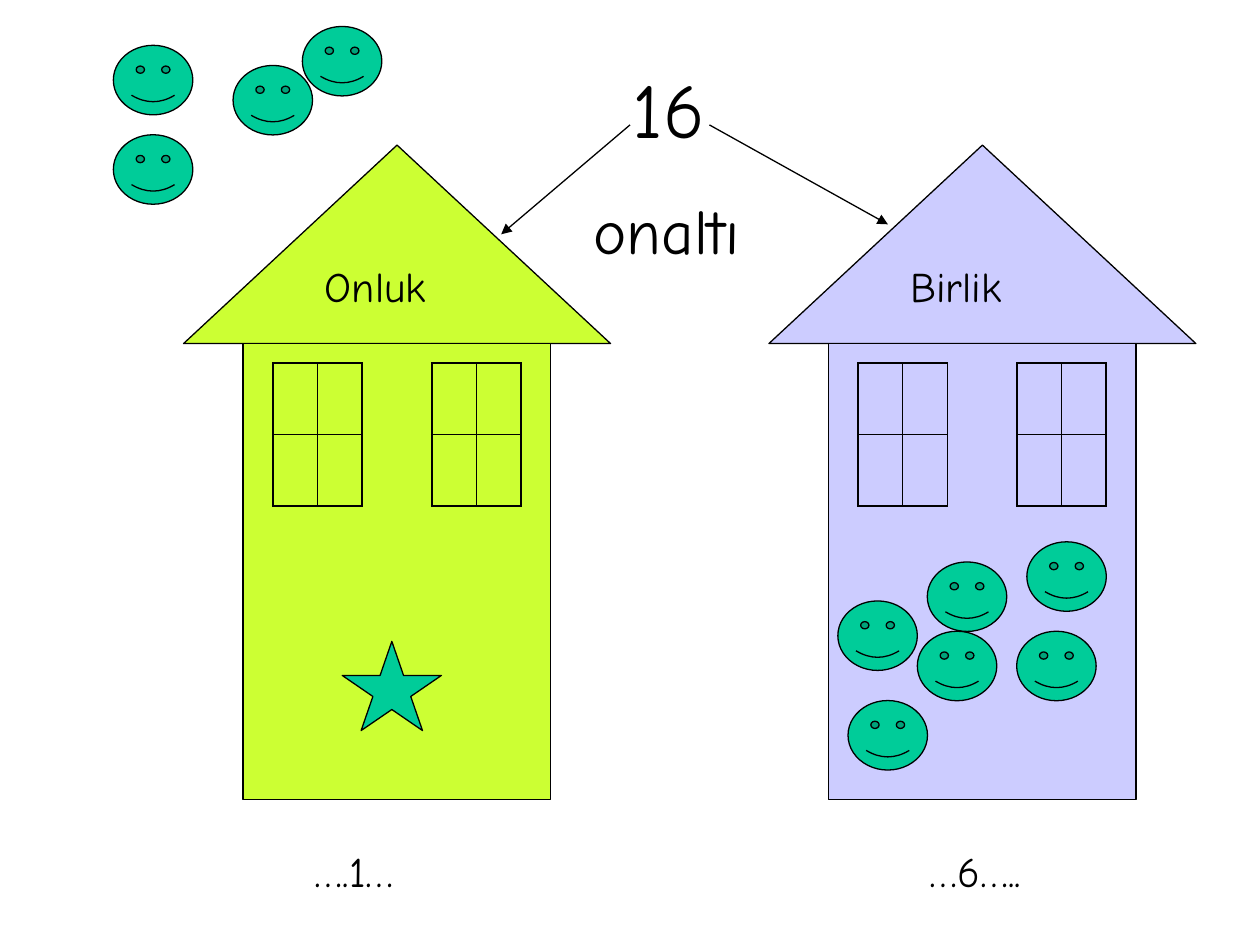
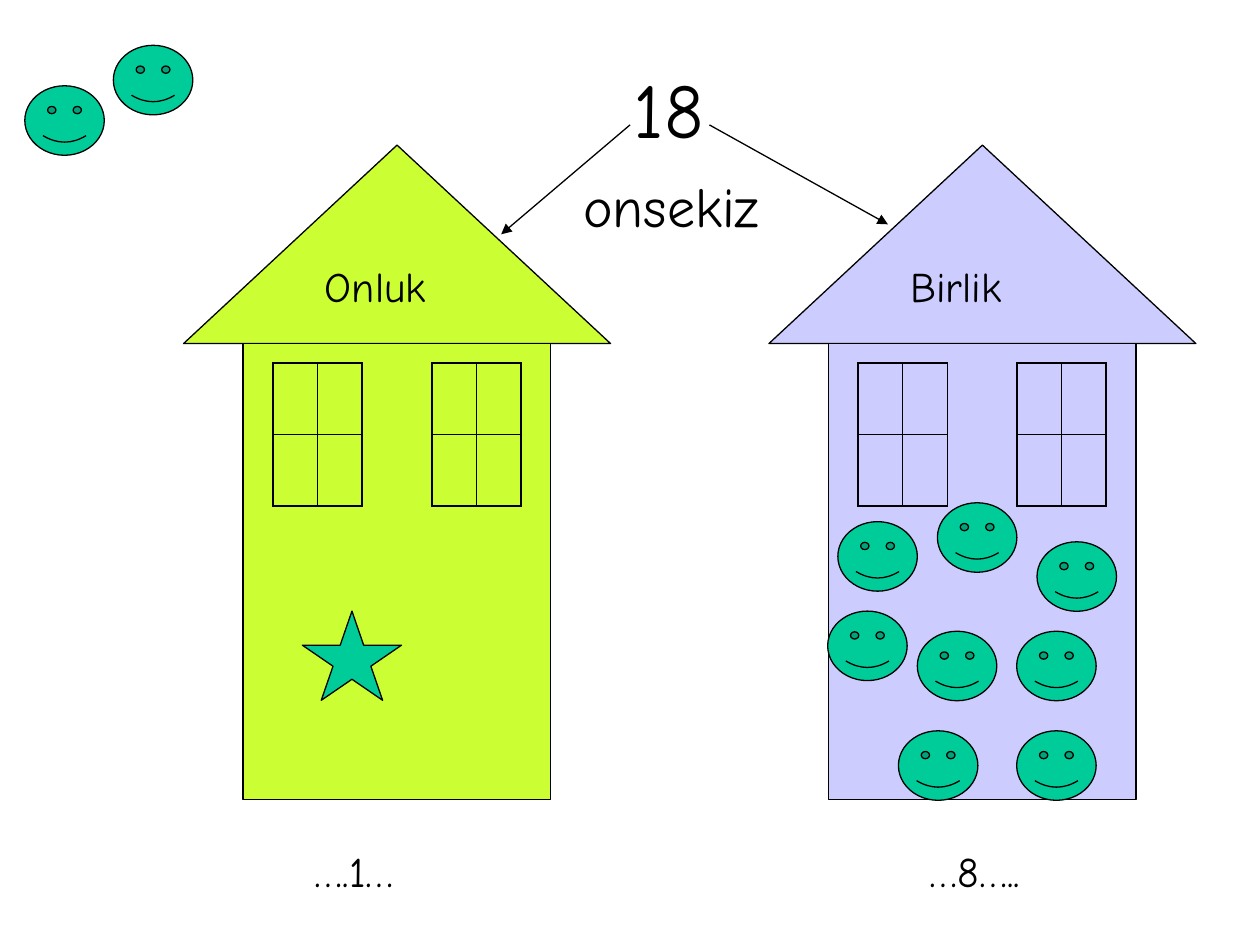
from lxml import etree
from pptx import Presentation
from pptx.dml.color import RGBColor
from pptx.enum.shapes import MSO_CONNECTOR as Line, MSO_SHAPE as Shape
from pptx.enum.text import MSO_ANCHOR as Anchor, MSO_AUTO_SIZE as AutoSize, PP_ALIGN as Align
from pptx.oxml.ns import qn
from pptx.util import Pt

BLACK = RGBColor(0x00, 0x00, 0x00)
LIME = RGBColor(0xCC, 0xFF, 0x33)
LILAC = RGBColor(0xCC, 0xCC, 0xFF)
GREEN = RGBColor(0x00, 0xCC, 0x99)

FONT = "Comic Neue"
LINE_WIDTH = 0.75
FRAME_WIDTH, BAR_WIDTH = 1.08, 0.45
TITLE_ONLY = 5

ROOF_TOP, ROOF_WIDTH, ROOF_HEIGHT = 82.9, 244, 113.4
WALL_INSET, WALL_WIDTH, WALL_HEIGHT = 34, 175.8, 260.8
WINDOW_INSETS, WINDOW_TOP = (51, 141.8), 207.6
WINDOW_WIDTH, WINDOW_HEIGHT = 51, 81.6
TENS_LEFT, ONES_LEFT = 104.9, 439.4
LABEL_WIDTH, LABEL_HEIGHT, LABEL_SIZE = 96.4, 36.3, 24
LABEL_INSET, LABEL_TOP, COUNT_TOP = 73.7, 145.4, 479.5
FACE_WIDTH, FACE_HEIGHT = 45.4, 39.7
STAR_WIDTH, STAR_HEIGHT = 56.7, 51

LESSONS = [
    {
        "number": "16",
        "word": ("onaltı", 332, 105.8, 118.8, 50.4, 36),
        "counts": ("….1…", "…6….."),
        "faces": [(586.8, 309.6), (133.2, 37.4), (64.8, 25.9), (64.8, 77),
                  (484.6, 400.3), (478.8, 343.4), (172.8, 15.1),
                  (529.9, 321.1), (581, 360.7), (524.2, 360.7)],
        "star": (195.6, 366.5),
    },
    {
        "number": "18",
        "word": ("onsekiz", 326.2, 94.3, 130.3, 46.1, 32),
        "counts": ("….1…", "…8….."),
        "faces": [(14.2, 49), (473, 349.2), (64.8, 25.9), (535.7, 287.3),
                  (581, 417.6), (513.4, 417.6), (592.6, 309.6),
                  (478.8, 298.1), (581, 360.7), (524.2, 360.7)],
        "star": (172.8, 349.2),
    },
]


class HouseDeck:
    def __init__(self):
        self.deck = Presentation()
        self.deck.slide_width, self.deck.slide_height = Pt(720), Pt(540)
        self.page = None

    def new_page(self):
        self.page = self.deck.slides.add_slide(self.deck.slide_layouts[TITLE_ONLY])

    def fill_text(self, box, text, size, align):
        frame = box.text_frame
        frame.word_wrap = True
        frame.auto_size = AutoSize.SHAPE_TO_FIT_TEXT
        frame.vertical_anchor = Anchor.TOP
        para = frame.paragraphs[0]
        para.text = text
        para.alignment = align
        para.space_before = Pt(size * 0.625)
        para.font.name = FONT
        para.font.size = Pt(size)
        para.font.color.rgb = BLACK

    def title(self, text):
        box = self.page.shapes.title
        box.left, box.top, box.width, box.height = Pt(303), Pt(31.7), Pt(158.4), Pt(60.5)
        self.fill_text(box, text, 44, Align.CENTER)

    def text(self, text, left, top, width=LABEL_WIDTH, height=LABEL_HEIGHT, size=LABEL_SIZE):
        box = self.page.shapes.add_textbox(Pt(left), Pt(top), Pt(width), Pt(height))
        self.fill_text(box, text, size, Align.LEFT)

    def shape(self, kind, left, top, width, height, color):
        shape = self.page.shapes.add_shape(kind, Pt(left), Pt(top), Pt(width), Pt(height))
        shape.shadow.inherit = False
        shape.fill.solid()
        shape.fill.fore_color.rgb = color
        shape.line.color.rgb = BLACK
        shape.line.width = Pt(LINE_WIDTH)

    def arrow(self, start, end):
        points = [Pt(value) for value in (*start, *end)]
        arrow = self.page.shapes.add_connector(Line.STRAIGHT, *points)
        arrow.line.color.rgb = BLACK
        arrow.line.width = Pt(LINE_WIDTH)
        properties = arrow._element.spPr
        etree.SubElement(properties.find(qn("a:ln")), qn("a:tailEnd"), type="triangle")
        etree.SubElement(properties, qn("a:effectLst"))

    def borders(self, cell, widths):
        properties = cell._tc.get_or_add_tcPr()
        for side, width in widths.items():
            border = etree.SubElement(properties, qn(f"a:{side}"), w=str(int(Pt(width))))
            fill = etree.SubElement(border, qn("a:solidFill"))
            etree.SubElement(fill, qn("a:srgbClr"), val=str(BLACK))

    def window(self, left, top):
        table = self.page.shapes.add_table(
            2, 2, Pt(left), Pt(top), Pt(WINDOW_WIDTH), Pt(WINDOW_HEIGHT)).table
        table.first_row = table.horz_banding = False
        for row in range(2):
            for column in range(2):
                cell = table.cell(row, column)
                self.borders(cell, {
                    "lnL": BAR_WIDTH if column else FRAME_WIDTH,
                    "lnR": FRAME_WIDTH if column else BAR_WIDTH,
                    "lnT": BAR_WIDTH if row else FRAME_WIDTH,
                    "lnB": FRAME_WIDTH if row else BAR_WIDTH,
                })
                cell.fill.background()

    def house(self, left, color, label):
        self.shape(Shape.ISOSCELES_TRIANGLE, left, ROOF_TOP, ROOF_WIDTH, ROOF_HEIGHT, color)
        self.shape(Shape.RECTANGLE, left + WALL_INSET, ROOF_TOP + ROOF_HEIGHT,
                   WALL_WIDTH, WALL_HEIGHT, color)
        for inset in WINDOW_INSETS:
            self.window(left + inset, WINDOW_TOP)
        self.text(label, left + LABEL_INSET, LABEL_TOP)

    def lesson(self, number, word, counts, faces, star):
        self.new_page()
        self.title(number)
        self.house(TENS_LEFT, LIME, "Onluk")
        self.house(ONES_LEFT, LILAC, "Birlik")
        for left, top in faces:
            self.shape(Shape.SMILEY_FACE, left, top, FACE_WIDTH, FACE_HEIGHT, GREEN)
        for count, left in zip(counts, (172.8, 524.2)):
            self.text(count, left, COUNT_TOP)
        self.arrow((405.4, 71.4), (507.4, 128.2))
        self.arrow((360, 71.4), (286.4, 133.9))
        self.text(*word)
        self.shape(Shape.STAR_5_POINT, *star, STAR_WIDTH, STAR_HEIGHT, GREEN)


def main():
    builder = HouseDeck()
    for lesson in LESSONS:
        builder.lesson(**lesson)
    builder.deck.save("out.pptx")


if __name__ == "__main__":
    main()
